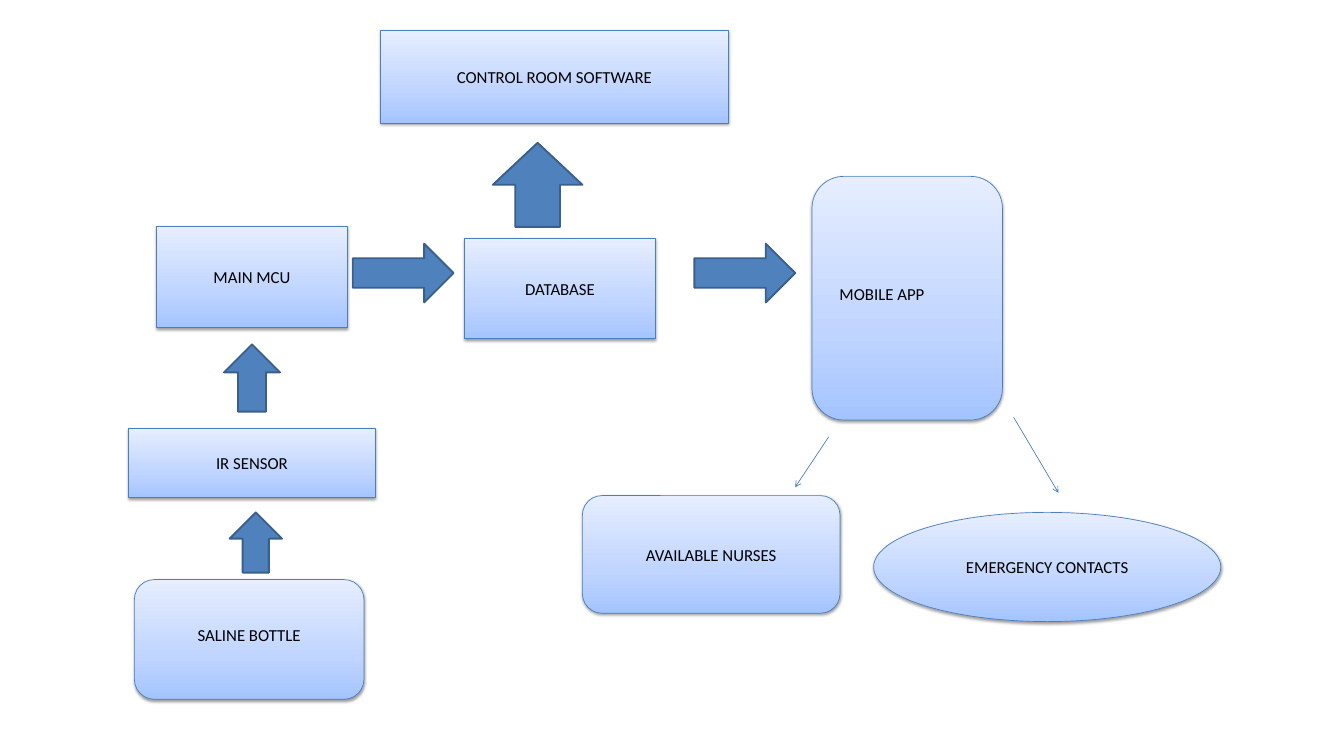
"""Build the block diagram of a saline bottle monitoring system."""
import copy
from typing import NamedTuple

import lxml.etree
import pptx
import pptx.dml.color
import pptx.enum.shapes
import pptx.enum.text
import pptx.oxml
import pptx.oxml.ns
import pptx.util

RGB = pptx.dml.color.RGBColor
SHAPE = pptx.enum.shapes.MSO_SHAPE
qn = pptx.oxml.ns.qn

PX = 9525
BLACK = RGB(0x00, 0x00, 0x00)
ARROW_FILL = RGB(0x4F, 0x81, 0xBD)
ARROW_LINE = RGB(0x3A, 0x5F, 0x8C)
BLOCK_LINE = RGB(0x4B, 0x7E, 0xBC)
GRADIENT = (
    (0, RGB(0xA4, 0xC4, 0xFF)),
    (0.35, RGB(0xBF, 0xD4, 0xFF)),
    (1, RGB(0xE6, 0xEE, 0xFF)),
)
SHADOW = (
    f'<a:outerShdw {pptx.oxml.ns.nsdecls("a")} blurRad="40000" dist="20000" '
    'dir="5400000" rotWithShape="0"><a:srgbClr val="000000">'
    '<a:alpha val="38000"/></a:srgbClr></a:outerShdw>'
)


class Box(NamedTuple):
    left: int
    top: int
    width: int
    height: int

    def emu(self) -> list[int]:
        return [v * PX for v in self]


class Block(NamedTuple):
    kind: SHAPE
    box: Box
    text: str = ""


class Arrow(NamedTuple):
    kind: SHAPE
    box: Box


class Link(NamedTuple):
    x1: int
    y1: int
    x2: int
    y2: int


class Label(NamedTuple):
    box: Box
    text: str


BLOCKS = (
    Block(SHAPE.RECTANGLE, Box(224, 324, 272, 144), "MAIN MCU"),
    Block(SHAPE.RECTANGLE, Box(184, 612, 352, 99), "IR SENSOR"),
    Block(SHAPE.RECTANGLE, Box(664, 340, 272, 144), "DATABASE"),
    Block(SHAPE.RECTANGLE, Box(544, 44, 496, 132), "CONTROL ROOM SOFTWARE"),
    Block(SHAPE.ROUNDED_RECTANGLE, Box(1160, 252, 272, 348)),
    Block(SHAPE.ROUNDED_RECTANGLE, Box(832, 708, 368, 168), "AVAILABLE NURSES"),
    Block(SHAPE.OVAL, Box(1248, 732, 496, 156), "EMERGENCY CONTACTS"),
    Block(SHAPE.ROUNDED_RECTANGLE, Box(192, 828, 328, 171)),
)
ARROWS = (
    Arrow(SHAPE.UP_ARROW, Box(328, 732, 75, 86)),
    Arrow(SHAPE.UP_ARROW, Box(320, 492, 80, 96)),
    Arrow(SHAPE.RIGHT_ARROW, Box(504, 348, 144, 84)),
    Arrow(SHAPE.UP_ARROW, Box(704, 204, 128, 120)),
    Arrow(SHAPE.RIGHT_ARROW, Box(992, 348, 144, 84)),
)
LINKS = (Link(1184, 624, 1136, 696), Link(1448, 596, 1512, 704))
LABELS = (
    Label(Box(1156, 396, 208, 46), "MOBILE APP"),
    Label(Box(240, 884, 232, 46), "SALINE BOTTLE"),
)


def write_text(tf: pptx.text.text.TextFrame, text: str) -> None:
    tf.word_wrap = True
    tf.margin_left = tf.margin_right = 17 * PX
    tf.margin_top = tf.margin_bottom = 9 * PX
    p = tf.paragraphs[0]
    p.alignment = pptx.enum.text.PP_ALIGN.CENTER
    r = p.add_run()
    r.text = text
    r.font.name = "Calibri"
    r.font.size = pptx.util.Pt(18)
    r.font.color.rgb = BLACK


def set_line(line: pptx.dml.line.LineFormat, color: RGB, width: float) -> None:
    line.color.rgb = color
    line.width = pptx.util.Pt(width)


def draw_block(s: pptx.slide.Slide, block: Block) -> None:
    sp = s.shapes.add_shape(block.kind, *block.box.emu())
    sp.fill.gradient()
    sp.fill.gradient_angle = 90
    stops = sp._element.spPr.find(qn("a:gradFill")).find(qn("a:gsLst"))
    stops.insert(1, copy.deepcopy(stops[0]))
    for stop, (position, color) in zip(sp.fill.gradient_stops, GRADIENT):
        stop.position = position
        stop.color.rgb = color
    set_line(sp.line, BLOCK_LINE, 0.75)
    sp.shadow.inherit = False
    effects = sp._element.spPr.find(qn("a:effectLst"))
    effects.append(pptx.oxml.parse_xml(SHADOW))
    if block.text:
        sp.text_frame.vertical_anchor = pptx.enum.text.MSO_ANCHOR.MIDDLE
        write_text(sp.text_frame, block.text)


def draw_arrow(s: pptx.slide.Slide, arrow: Arrow) -> None:
    sp = s.shapes.add_shape(arrow.kind, *arrow.box.emu())
    sp.shadow.inherit = False
    sp.fill.solid()
    sp.fill.fore_color.rgb = ARROW_FILL
    set_line(sp.line, ARROW_LINE, 2)


def draw_link(s: pptx.slide.Slide, link: Link) -> None:
    straight = pptx.enum.shapes.MSO_CONNECTOR.STRAIGHT
    cxn = s.shapes.add_connector(straight, *(v * PX for v in link))
    set_line(cxn.line, BLOCK_LINE, 0.75)
    ln = cxn._element.spPr.find(qn("a:ln"))
    lxml.etree.SubElement(ln, qn("a:tailEnd"), type="arrow")
    lxml.etree.SubElement(cxn._element.spPr, qn("a:effectLst"))


def draw_label(s: pptx.slide.Slide, label: Label) -> None:
    tf = s.shapes.add_textbox(*label.box.emu()).text_frame
    tf.auto_size = pptx.enum.text.MSO_AUTO_SIZE.SHAPE_TO_FIT_TEXT
    write_text(tf, label.text)


def main() -> None:
    prs = pptx.Presentation()
    prs.slide_width, prs.slide_height = 1920 * PX, 1080 * PX
    s = prs.slides.add_slide(prs.slide_layouts[6])
    for block in BLOCKS:
        draw_block(s, block)
    for arrow in ARROWS:
        draw_arrow(s, arrow)
    for link in LINKS:
        draw_link(s, link)
    for label in LABELS:
        draw_label(s, label)
    prs.save("out.pptx")


if __name__ == "__main__":
    main()
